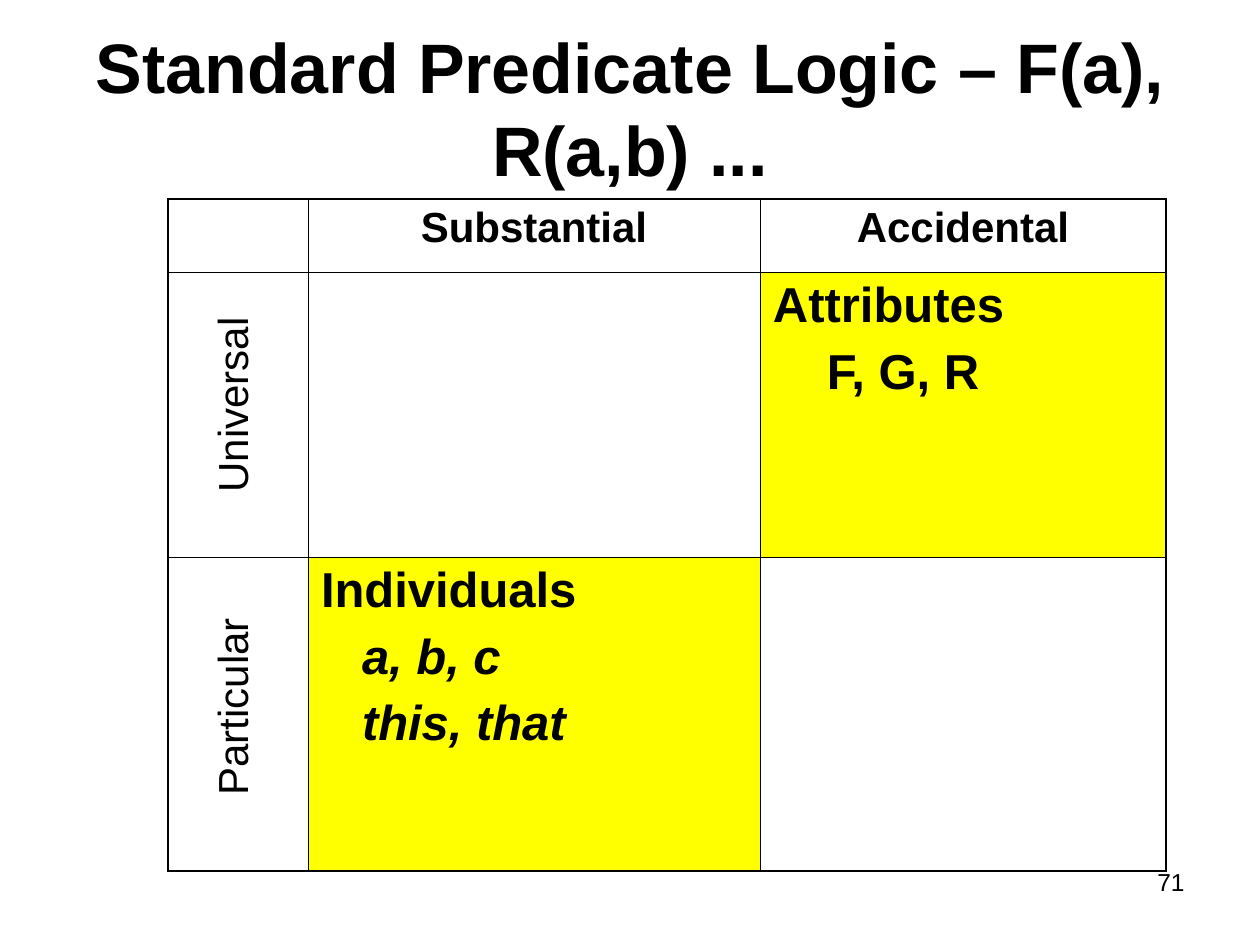
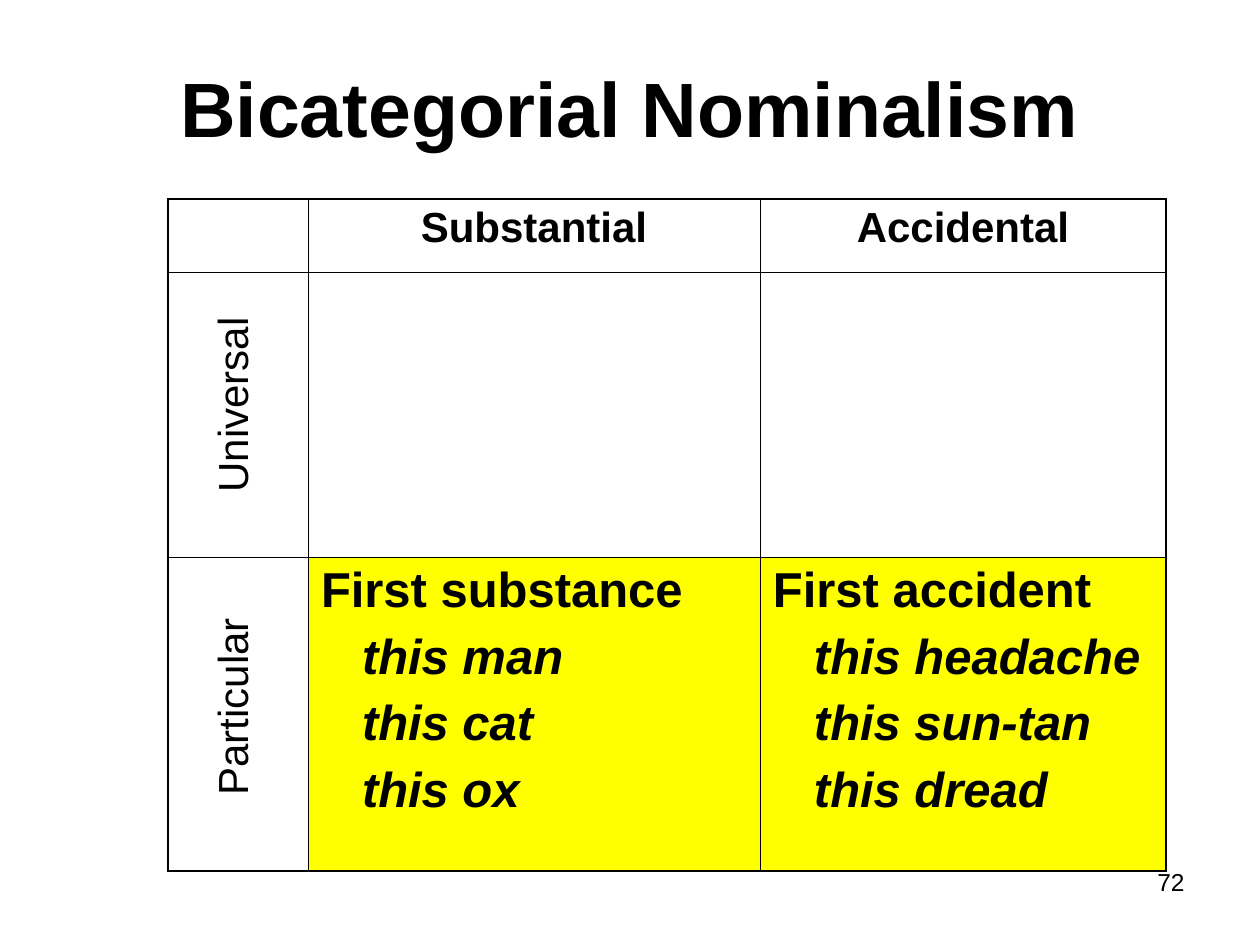
import pptx
import pptx.dml.color
import pptx.enum.text
import pptx.oxml
import pptx.oxml.ns
import pptx.util

COLORS = {"ink": "000000", "highlight": "FFFF00"}
FONT = "Arial"
COLUMN_HEADINGS = ["Substantial", "Accidental"]
ROW_LABELS = ["Universal", "Particular"]

SLIDES = [
    {
        "title": "Standard Predicate Logic – F(a), R(a,b) ...",
        "title_size": 40,
        "number": "71",
        "quadrants": {
            (1, 2): {"name": "Attributes", "examples": ["F, G, R"], "indent": 54, "italic": False},
            (2, 1): {"name": "Individuals", "examples": ["a, b, c", "this, that"], "indent": 41, "italic": True},
        },
    },
    {
        "title": "Bicategorial Nominalism",
        "title_size": 44,
        "number": "72",
        "quadrants": {
            (2, 1): {"name": "First substance", "examples": ["this man", "this cat", "this ox"],
                     "indent": 41, "italic": True},
            (2, 2): {"name": "First accident", "examples": ["this headache", "this sun-tan", "this dread"],
                     "indent": 41, "italic": True},
        },
    },
]

SLIDE_SIZE = (1260, 945)
TITLE_BOX = (63, 68, 1134, 78)
TABLE_ORIGIN = (168, 199)
COLUMN_WIDTHS = [140, 452, 406]
ROW_HEIGHTS = [73, 285, 314]
LABEL_BOXES = [(125, 367, 213, 63), (125, 670, 213, 63)]
NUMBER_BOX = (903, 861, 294, 66)
OUTER_LINE, INNER_LINE = 1.08, 0.45
ALIGN = pptx.enum.text.PP_ALIGN


def px(length):
    return pptx.util.Emu(round(length * 914400 / 126))


def set_values(target, values):
    for name, value in values.items():
        setattr(target, name, value)


def write(paragraph, text, size, align=ALIGN.LEFT, bold=False, italic=False, before=0, indent=0):
    properties = paragraph._p.get_or_add_pPr()
    properties.set("marL", str(px(indent)))
    properties.set("indent", "0")
    set_values(paragraph, {"alignment": align, "space_before": pptx.util.Pt(before)})
    run = paragraph.add_run()
    run.text = text
    set_values(run.font, {"name": FONT, "size": pptx.util.Pt(size), "bold": bold, "italic": italic})
    run.font.color.rgb = pptx.dml.color.RGBColor.from_string(COLORS["ink"])


def add_text(slide, box, text, size, align=ALIGN.LEFT, rotation=0):
    shape = slide.shapes.add_textbox(*map(px, box))
    shape.rotation = rotation
    shape.text_frame.word_wrap = True
    write(shape.text_frame.paragraphs[0], text, size, align)


def add_title(slide, text, size):
    title = slide.shapes.title
    set_values(title, dict(zip(("left", "top", "width", "height"), map(px, TITLE_BOX))))
    set_values(title.text_frame, {
        "word_wrap": True,
        "auto_size": pptx.enum.text.MSO_AUTO_SIZE.NONE,
        "vertical_anchor": pptx.enum.text.MSO_ANCHOR.MIDDLE,
    })
    write(title.text_frame.paragraphs[0], text, size, ALIGN.CENTER, bold=True)


def set_borders(cell, row, column):
    outer_edges = {
        "lnL": column == 0,
        "lnR": column == len(COLUMN_WIDTHS) - 1,
        "lnT": row == 0,
        "lnB": row == len(ROW_HEIGHTS) - 1,
    }
    for tag, is_outer in outer_edges.items():
        width = pptx.util.Pt(OUTER_LINE if is_outer else INNER_LINE)
        cell._tc.get_or_add_tcPr().append(pptx.oxml.parse_xml(
            f'<a:{tag} {pptx.oxml.ns.nsdecls("a")} w="{width}"><a:solidFill>'
            f'<a:srgbClr val="{COLORS["ink"]}"/></a:solidFill></a:{tag}>'))


def fill_quadrant(cell, quadrant):
    cell.fill.solid()
    cell.fill.fore_color.rgb = pptx.dml.color.RGBColor.from_string(COLORS["highlight"])
    frame = cell.text_frame
    write(frame.paragraphs[0], quadrant["name"], 28, bold=True)
    for example in quadrant["examples"]:
        write(frame.add_paragraph(), example, 28, bold=True, italic=quadrant["italic"],
              before=7, indent=quadrant["indent"])


def add_square(slide, quadrants):
    bounds = (*TABLE_ORIGIN, sum(COLUMN_WIDTHS), sum(ROW_HEIGHTS))
    table = slide.shapes.add_table(len(ROW_HEIGHTS), len(COLUMN_WIDTHS), *map(px, bounds)).table
    set_values(table, {"first_row": False, "horz_banding": False})
    for column, width in zip(table.columns, COLUMN_WIDTHS):
        column.width = px(width)
    for row, height in zip(table.rows, ROW_HEIGHTS):
        row.height = px(height)
    for row in range(len(ROW_HEIGHTS)):
        for column in range(len(COLUMN_WIDTHS)):
            cell = table.cell(row, column)
            set_values(cell, {"margin_left": px(13), "margin_right": px(13),
                              "margin_top": px(6), "margin_bottom": px(6)})
            set_borders(cell, row, column)
            if (row, column) in quadrants:
                fill_quadrant(cell, quadrants[row, column])
            else:
                cell.fill.background()
    for column, heading in enumerate(COLUMN_HEADINGS, start=1):
        write(table.cell(0, column).text_frame.paragraphs[0], heading, 24, ALIGN.CENTER, bold=True)


def main():
    presentation = pptx.Presentation()
    presentation.slide_width, presentation.slide_height = map(px, SLIDE_SIZE)
    for content in SLIDES:
        slide = presentation.slides.add_slide(presentation.slide_layouts[5])
        add_title(slide, content["title"], content["title_size"])
        add_square(slide, content["quadrants"])
        for box, label in zip(LABEL_BOXES, ROW_LABELS):
            add_text(slide, box, label, 24, rotation=270)
        add_text(slide, NUMBER_BOX, content["number"], 14, ALIGN.RIGHT)
    presentation.save("out.pptx")


if __name__ == "__main__":
    main()
